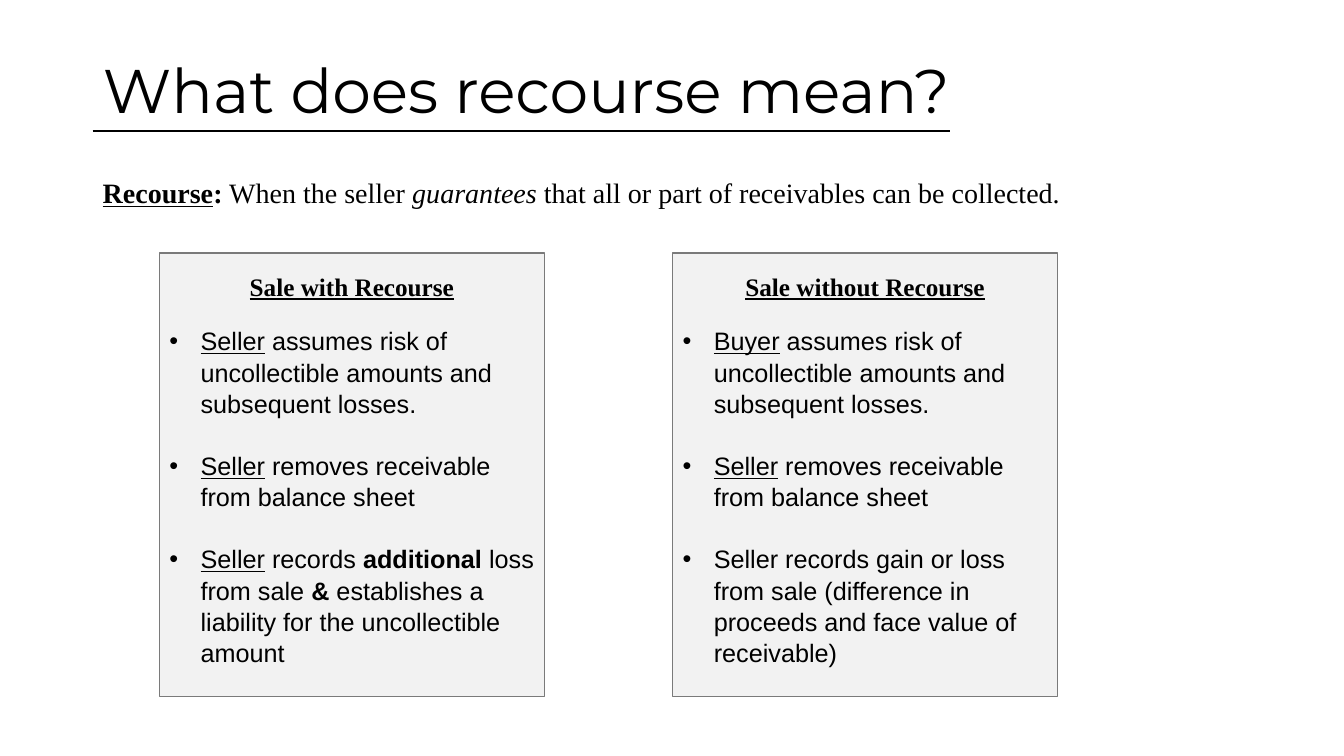
"""Build the slide that contrasts sales with and without recourse."""
from dataclasses import dataclass

import lxml.etree
import pptx
import pptx.dml.color
import pptx.enum.shapes
import pptx.enum.text
import pptx.oxml.ns
import pptx.util

Inches = pptx.util.Inches
Pt = pptx.util.Pt
COLOURS = {"ink": "000000", "panel": "F2F2F2", "border": "7A7A7A"}
SERIF, SANS, DISPLAY = "Times New Roman", "Arial", "Montserrat"
PANEL_TOP, PANEL_WIDTH, PANEL_HEIGHT = 2.51, 3.82, 4.4
LIST_TOP, HEADING_TOP, INDENT = 3.17, 2.64, 0.31


@dataclass(frozen=True)
class Span:
    """A stretch of text with one style."""
    text: str
    bold: bool = False
    italic: bool = False
    underline: bool = False


@dataclass(frozen=True)
class Panel:
    """A grey panel with a heading and a bulleted list."""
    left: float
    heading: str
    heading_width: float
    list_width: float
    points: list[list[Span]]


def colour(name: str) -> pptx.dml.color.RGBColor:
    """Return a named colour."""
    return pptx.dml.color.RGBColor.from_string(COLOURS[name])


def write_spans(para, spans: list[Span], font: str, size: float) -> None:
    """Write styled spans into a paragraph."""
    for span in spans:
        run = para.add_run()
        run.text = span.text
        run.font.name, run.font.size = font, Pt(size)
        run.font.color.rgb = colour("ink")
        run.font.bold, run.font.italic = span.bold, span.italic
        run.font.underline = span.underline


def place(box, left: float, top: float, width: float, height: float) -> None:
    """Move and size a box."""
    box.left, box.top = Inches(left), Inches(top)
    box.width, box.height = Inches(width), Inches(height)


def add_bullet(para) -> None:
    """Give a paragraph a hanging round bullet."""
    properties = para._p.get_or_add_pPr()
    properties.set("marL", str(Inches(INDENT)))
    properties.set("indent", str(-Inches(INDENT)))
    qn = pptx.oxml.ns.qn
    lxml.etree.SubElement(properties, qn("a:buFont"), typeface=SANS)
    lxml.etree.SubElement(properties, qn("a:buChar"), char="•")


def draw_title(page) -> None:
    """Fill the title and draw the rule beneath it."""
    title = page.shapes.title
    place(title, 0.92, 0.2, 11.5, 1.45)
    frame = title.text_frame
    frame.auto_size = pptx.enum.text.MSO_AUTO_SIZE.NONE
    frame.vertical_anchor = pptx.enum.text.MSO_ANCHOR.MIDDLE
    para = frame.paragraphs[0]
    para.alignment = pptx.enum.text.PP_ALIGN.LEFT
    para.line_spacing = 0.9
    write_spans(para, [Span("What does recourse mean?")], DISPLAY, 44)
    rule = page.shapes.add_connector(
        pptx.enum.shapes.MSO_CONNECTOR.STRAIGHT,
        Inches(0.92), Inches(1.3), Inches(9.42), Inches(1.3))
    rule.line.color.rgb, rule.line.width = colour("ink"), Pt(1)
    lxml.etree.SubElement(rule.element.spPr, pptx.oxml.ns.qn("a:effectLst"))


def draw_text(page, left: float, top: float, width: float, height: float,
              spans: list[Span], size: float, centred: bool = False) -> None:
    """Draw a one-paragraph serif text box."""
    box = page.shapes.add_textbox(
        Inches(left), Inches(top), Inches(width), Inches(height))
    box.text_frame.word_wrap = not centred
    para = box.text_frame.paragraphs[0]
    if centred:
        para.alignment = pptx.enum.text.PP_ALIGN.CENTER
    write_spans(para, spans, SERIF, size)


def draw_panel(page, panel: Panel, body) -> None:
    """Draw one panel behind its heading and list."""
    box = page.shapes.add_shape(
        pptx.enum.shapes.MSO_SHAPE.RECTANGLE, Inches(panel.left),
        Inches(PANEL_TOP), Inches(PANEL_WIDTH), Inches(PANEL_HEIGHT))
    box.shadow.inherit = False
    box.fill.solid()
    box.fill.fore_color.rgb = colour("panel")
    box.line.color.rgb, box.line.width = colour("border"), Pt(1)
    body.element.addprevious(box.element)

    heading_left = panel.left + (PANEL_WIDTH - panel.heading_width) / 2
    draw_text(page, heading_left, HEADING_TOP, panel.heading_width, 0.4,
              [Span(panel.heading, bold=True, underline=True)], 18, True)

    place(body, panel.left, LIST_TOP, panel.list_width, 3.43)
    frame = body.text_frame
    frame.word_wrap = True
    frame.auto_size = pptx.enum.text.MSO_AUTO_SIZE.NONE
    frame.vertical_anchor = pptx.enum.text.MSO_ANCHOR.TOP
    for index, spans in enumerate(panel.points):
        para = frame.add_paragraph() if index else frame.paragraphs[0]
        add_bullet(para)
        para.line_spacing = 1.04
        para.space_before = Pt(21.6 if index else 0)
        write_spans(para, spans, SANS, 18)


def risk_points(bearer: str) -> list[list[Span]]:
    """Return the two points that both kinds of sale share."""
    return [
        [Span(bearer, underline=True),
         Span(" assumes risk of uncollectible amounts and subsequent losses.")],
        [Span("Seller", underline=True),
         Span(" removes receivable from balance sheet")],
    ]


def main() -> None:
    """Build and save the deck."""
    deck = pptx.Presentation()
    deck.slide_width, deck.slide_height = Inches(13.33), Inches(7.5)
    page = deck.slides.add_slide(deck.slide_layouts.get_by_name("Two Content"))
    draw_title(page)
    draw_text(page, 0.92, 1.69, 10.56, 0.44, [
        Span("Recourse", bold=True, underline=True),
        Span(":", bold=True),
        Span(" When the seller "),
        Span("guarantees", italic=True),
        Span(" that all or part of receivables can be collected."),
    ], 20)
    panels = [
        Panel(1.58, "Sale with Recourse", 2.25, 3.91, risk_points("Seller") + [[
            Span("Seller", underline=True),
            Span(" records "),
            Span("additional", bold=True),
            Span(" loss from sale "),
            Span("&", bold=True),
            Span(" establishes a liability for the uncollectible amount"),
        ]]),
        Panel(6.67, "Sale without Recourse", 2.6, 3.82, risk_points("Buyer") + [[
            Span("Seller records gain or loss from sale "
                 "(difference in proceeds and face value of receivable)"),
        ]]),
    ]
    bodies = list(page.placeholders)[1:3]
    for panel, body in zip(panels, bodies):
        draw_panel(page, panel, body)
    deck.save("out.pptx")


if __name__ == "__main__":
    main()
